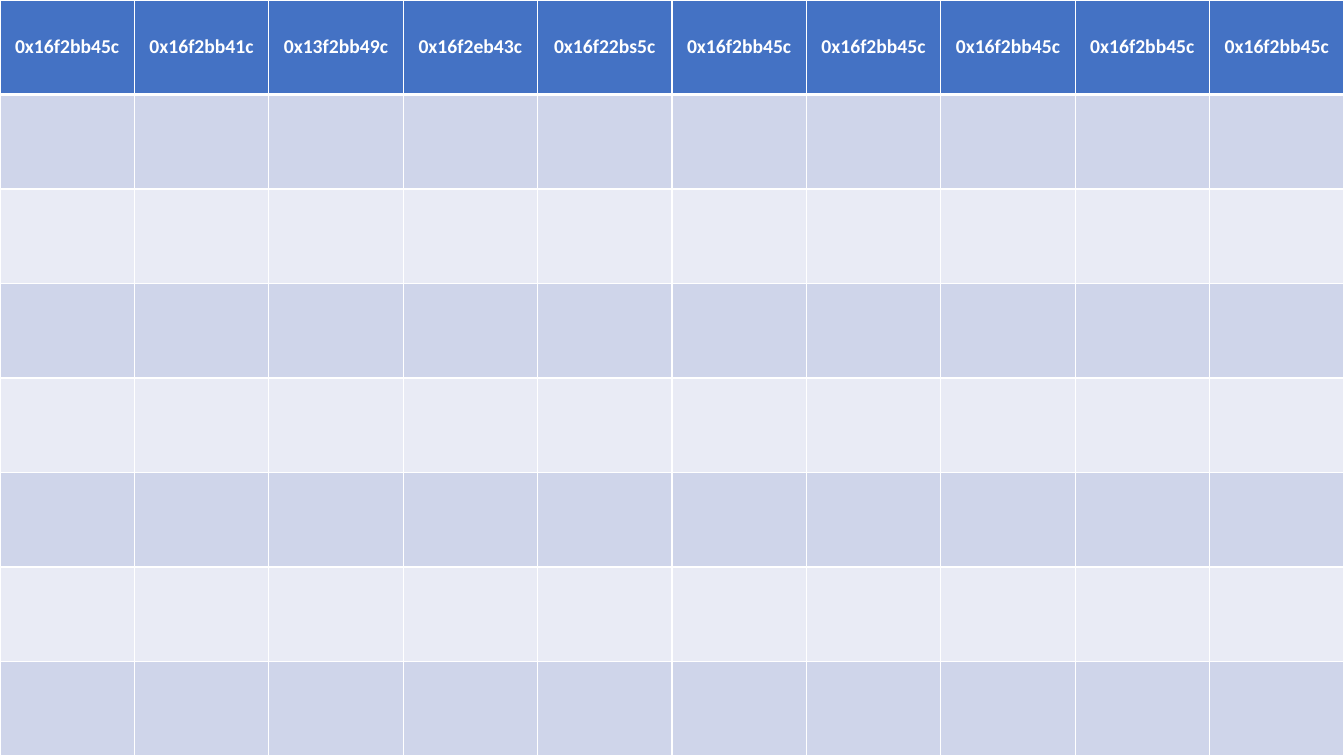
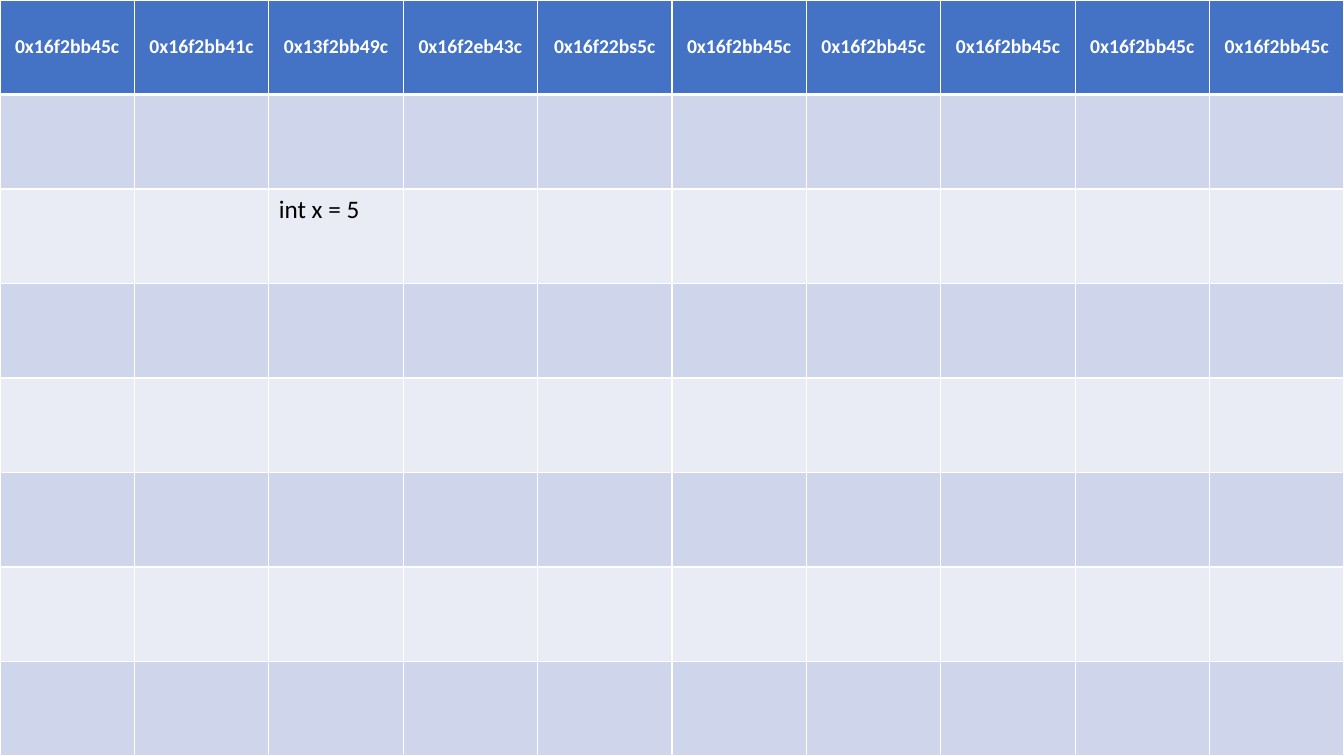
from lxml import etree
from pptx import Presentation
from pptx.dml.color import RGBColor
from pptx.enum.text import MSO_ANCHOR, PP_ALIGN
from pptx.oxml.ns import qn
from pptx.util import Cm, Pt

CENTER, LEFT = PP_ALIGN.CENTER, PP_ALIGN.LEFT
MIDDLE, TOP = MSO_ANCHOR.MIDDLE, MSO_ANCHOR.TOP

ADDRESSES = ["0x16f2bb45c", "0x16f2bb41c", "0x13f2bb49c", "0x16f2eb43c",
             "0x16f22bs5c"] + ["0x16f2bb45c"] * 5
MEMORY_STATES = [{}, {(2, 2): "int x = 5"}]
ROW_COUNT = 8

SLIDE_WIDTH, SLIDE_HEIGHT = Cm(33.87), Cm(19.05)
FONT = "Calibri"
HEADER_FILL, WHITE, BLACK = "4472C4", "FFFFFF", "000000"
BAND_FILLS = ["E9EBF5", "CFD5EA"]
GRID_WIDTH, HEADER_RULE_WIDTH = 1, 3


def rgb(color):
    return RGBColor.from_string(color)


def write(cell, text, size=18, color=BLACK, bold=False, align=LEFT, anchor=TOP):
    cell.vertical_anchor = anchor
    paragraph = cell.text_frame.paragraphs[0]
    paragraph.alignment = align
    run = paragraph.add_run()
    run.text = text
    run.font.name = FONT
    run.font.size = Pt(size)
    run.font.bold = bold
    run.font.color.rgb = rgb(color)


def set_borders(cell, top, bottom):
    properties = cell._tc.get_or_add_tcPr()
    sides = {"L": GRID_WIDTH, "R": GRID_WIDTH, "T": top, "B": bottom}
    for side, width in sides.items():
        border = etree.SubElement(properties, qn(f"a:ln{side}"), w=str(Pt(width)))
        fill = etree.SubElement(border, qn("a:solidFill"))
        etree.SubElement(fill, qn("a:srgbClr"), val=WHITE)


def add_memory_grid(slide, values):
    grid = slide.shapes.add_table(ROW_COUNT, len(ADDRESSES), 0, 0,
                                  SLIDE_WIDTH, SLIDE_HEIGHT).table
    for row in range(ROW_COUNT):
        top = HEADER_RULE_WIDTH if row == 1 else GRID_WIDTH
        bottom = HEADER_RULE_WIDTH if row == 0 else GRID_WIDTH
        for column, address in enumerate(ADDRESSES):
            cell = grid.cell(row, column)
            set_borders(cell, top, bottom)
            cell.fill.solid()
            cell.fill.fore_color.rgb = rgb(BAND_FILLS[row % 2] if row else HEADER_FILL)
            if row == 0:
                write(cell, address, size=14, color=WHITE, bold=True,
                      align=CENTER, anchor=MIDDLE)
            elif (row, column) in values:
                write(cell, values[row, column])


def main():
    deck = Presentation()
    deck.slide_width, deck.slide_height = SLIDE_WIDTH, SLIDE_HEIGHT
    for values in MEMORY_STATES:
        add_memory_grid(deck.slides.add_slide(deck.slide_layouts[6]), values)
    deck.save("out.pptx")


if __name__ == "__main__":
    main()
